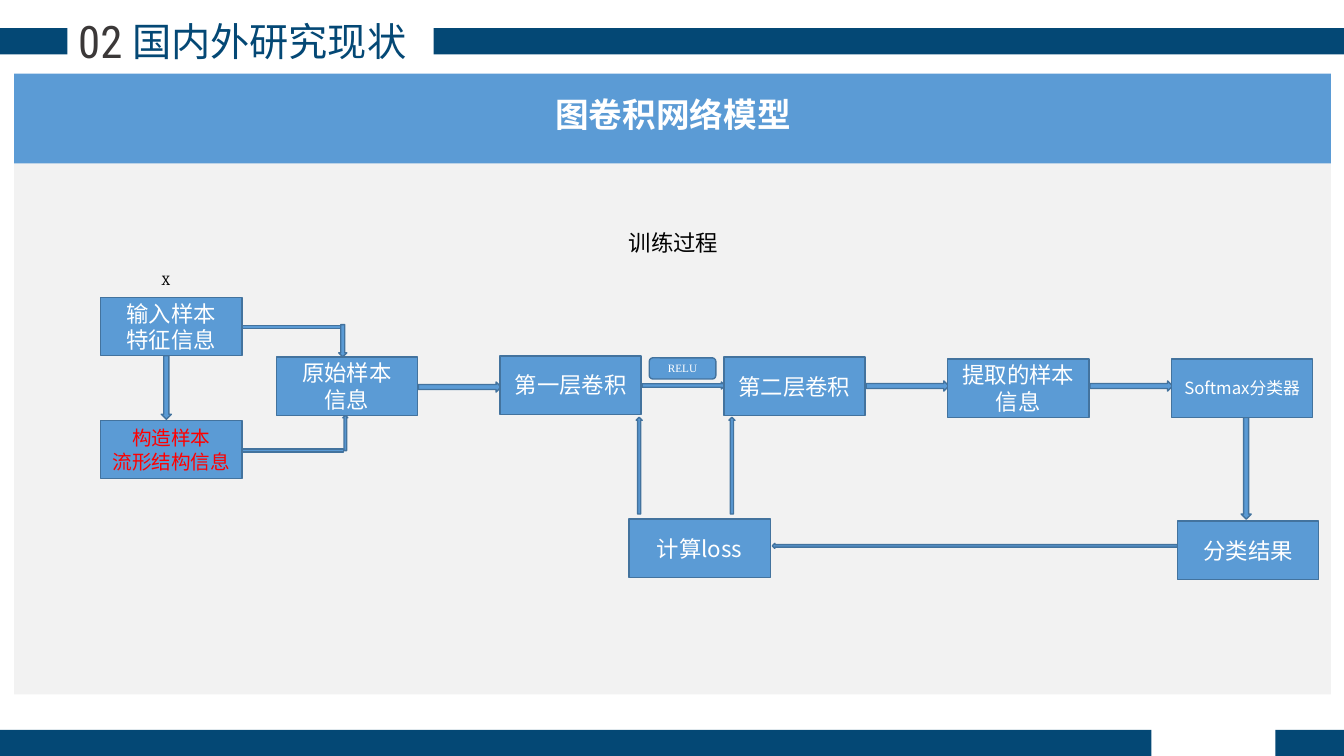
import pptx
import pptx.util
import pptx.dml.color
import pptx.enum.shapes
import pptx.enum.text
import pptx.oxml.ns
import lxml.etree

Inches = pptx.util.Inches
Shape = pptx.enum.shapes.MSO_SHAPE
Align = pptx.enum.text.PP_ALIGN
Anchor = pptx.enum.text.MSO_ANCHOR

COLORS = {
    "navy": "044875",
    "blue": "5B9BD5",
    "outline": "43739E",
    "panel": "F2F2F2",
    "number": "3B3838",
    "white": "FFFFFF",
    "red": "FF0000",
    "black": "000000",
}
SANS = "Noto Sans CJK SC"


def add_block(kind, left, top, width, height, fill="blue", outlined=True):
    block = page.shapes.add_shape(kind, Inches(left), Inches(top), Inches(width), Inches(height))
    block.shadow.inherit = False
    block.fill.solid()
    block.fill.fore_color.rgb = pptx.dml.color.RGBColor.from_string(COLORS[fill])
    if outlined:
        block.line.color.rgb = pptx.dml.color.RGBColor.from_string(COLORS["outline"])
        block.line.width = pptx.util.Pt(1)
    else:
        block.line.fill.background()
    return block


def write(box, lines, size, color="white", font=SANS, bold=False, align=Align.CENTER):
    frame = box.text_frame
    for index, line in enumerate(lines):
        para = frame.add_paragraph() if index else frame.paragraphs[0]
        para.alignment = align
        span = para.add_run()
        span.text = line
        span.font.size = pptx.util.Pt(size)
        span.font.bold = bold
        span.font.name = font
        span.font.color.rgb = pptx.dml.color.RGBColor.from_string(COLORS[color])
        east_asian = lxml.etree.SubElement(span.font._element, pptx.oxml.ns.qn("a:ea"))
        east_asian.set("typeface", font)


deck = pptx.Presentation()
deck.slide_width = Inches(13.33)
deck.slide_height = Inches(7.5)
page = deck.slides.add_slide(deck.slide_layouts[6])

for left, top, width in [(0, 0.28, 0.67), (4.3, 0.28, 9.03), (12.65, 7.24, 0.68), (0, 7.24, 11.42)]:
    add_block(Shape.RECTANGLE, left, top, width, 0.26, "navy", False)
add_block(Shape.RECTANGLE, 0.14, 0.73, 13.06, 0.9, "blue", False)
add_block(Shape.RECTANGLE, 0.14, 1.62, 13.06, 5.27, "panel", False)

labels = [
    ("国内外研究现状", 0.87, 0.12, 3.6, 0.57, 28, "navy", SANS, False, True, Align.CENTER),
    ("02", 0.6, 0.09, 0.79, 0.64, 32, "number", "Roboto Condensed", False, True, Align.CENTER),
    ("图卷积网络模型", 0.7, 0.88, 11.95, 0.5, 24, "white", SANS, True, True, Align.CENTER),
    ("X", 1.08, 2.64, 1.13, 0.27, 10, "black", "Cambria", False, True, Align.CENTER),
    ("训练过程", 6.14, 2.22, 1.1, 0.37, 16, "black", SANS, False, False, Align.LEFT),
]
for text, left, top, width, height, size, color, font, bold, wrap, align in labels:
    box = page.shapes.add_textbox(Inches(left), Inches(top), Inches(width), Inches(height))
    box.text_frame.word_wrap = wrap
    write(box, [text], size, color, font, bold, align)

arrows = [
    (Shape.DOWN_ARROW, 1.6, 3.53, 0.1, 0.63),
    (Shape.MATH_MINUS, 2.21, 3.19, 1.38, 0.11),
    (Shape.MATH_MINUS, 2.21, 4.4, 1.38, 0.14),
    (Shape.UP_ARROW, 3.4, 4.12, 0.05, 0.35),
    (Shape.DOWN_ARROW, 3.36, 3.22, 0.08, 0.32),
    (Shape.RIGHT_ARROW, 4.15, 3.79, 0.82, 0.1),
    (Shape.RIGHT_ARROW, 6.37, 3.79, 0.82, 0.07),
    (Shape.RIGHT_ARROW, 8.59, 3.78, 0.82, 0.1),
    (Shape.RIGHT_ARROW, 10.81, 3.78, 0.82, 0.1),
    (Shape.DOWN_ARROW, 12.31, 4.14, 0.1, 1.01),
    (Shape.LEFT_ARROW, 7.66, 5.39, 4.02, 0.05),
    (Shape.UP_ARROW, 7.23, 4.14, 0.06, 0.96),
    (Shape.UP_ARROW, 6.31, 4.14, 0.06, 0.96),
]
for arrow in arrows:
    add_block(*arrow)

steps = [
    (["输入样本", "特征信息"], 1, 2.95, 16, "white"),
    (["构造样本", "流形结构信息"], 1, 4.17, 14, "red"),
    (["原始样本", "信息"], 2.74, 3.54, 16, "white"),
    (["第一层卷积"], 4.96, 3.53, 16, "white"),
    (["第二层卷积"], 7.18, 3.54, 16, "white"),
    (["提取的样本", "信息"], 9.4, 3.56, 16, "white"),
    (["Softmax分类器"], 11.62, 3.56, 12, "white"),
    (["分类结果"], 11.68, 5.17, 16, "white"),
    (["计算loss"], 6.24, 5.15, 16, "white"),
]
for lines, left, top, size, color in steps:
    step = add_block(Shape.RECTANGLE, left, top, 1.4, 0.58)
    step.text_frame.word_wrap = True
    step.text_frame.vertical_anchor = Anchor.MIDDLE
    write(step, lines, size, color)

activation = add_block(Shape.ROUNDED_RECTANGLE, 6.44, 3.55, 0.66, 0.21)
activation.text_frame.word_wrap = True
activation.text_frame.vertical_anchor = Anchor.MIDDLE
write(activation, ["RELU"], 8, font="Times New Roman")

deck.save("out.pptx")
